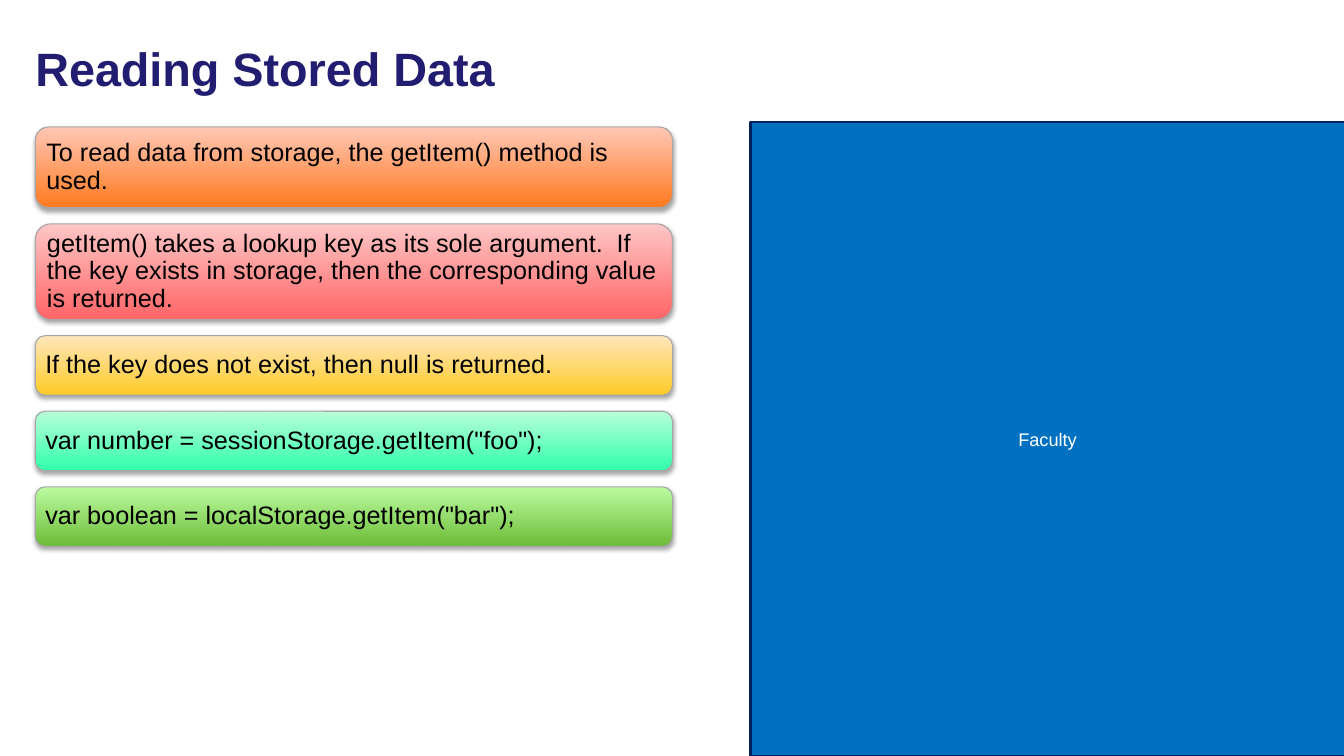
import dataclasses

import lxml.etree
import pptx
import pptx.dml.color
import pptx.enum.shapes
import pptx.enum.text
import pptx.oxml.ns
import pptx.util

Inches = pptx.util.Inches
Align = pptx.enum.text.PP_ALIGN


@dataclasses.dataclass(frozen=True)
class Theme:
    """Colours and type sizes of the slide."""
    font: str = "Arial"
    title: str = "211D70"
    body: str = "000000"
    panel_fill: str = "0070C0"
    panel_line: str = "002060"
    panel_text: str = "FFFFFF"
    card_line: str = "A6A6A6"
    shadow: str = "000000"
    title_size: float = 33.4
    body_size: float = 18
    panel_size: float = 13


THEME = Theme()
CARDS = [
    ("To read data from storage, the getItem() method is used.", 0.8, "FF7A1F", "FFC7B6"),
    ("getItem() takes a lookup key as its sole argument.  If the key exists in storage, "
     "then the corresponding value is returned.", 0.95, "FF6566", "FFC6C6"),
    ("If the key does not exist, then null is returned.", 0.59, "FFCB27", "FFE6BB"),
    ('var number = sessionStorage.getItem("foo");', 0.59, "31FFAB", "B8FFD9"),
    ('var boolean = localStorage.getItem("bar");', 0.59, "6DBC38", "BBFCA0"),
]


def rgb(value):
    """Return the colour for a hex string."""
    return pptx.dml.color.RGBColor.from_string(value)


def set_all(target, values):
    """Set each named attribute on the target."""
    for name, value in values.items():
        setattr(target, name, value)


def write_text(shape, text, size, color, bold=False, align=Align.LEFT, spacing=0.9, inset=(0.1, 0.05)):
    """Write one vertically centred paragraph into a shape."""
    frame = shape.text_frame
    across, down = map(Inches, inset)
    set_all(frame, {"word_wrap": True, "auto_size": pptx.enum.text.MSO_AUTO_SIZE.NONE,
                    "vertical_anchor": pptx.enum.text.MSO_ANCHOR.MIDDLE,
                    "margin_left": across, "margin_right": across,
                    "margin_top": down, "margin_bottom": down})
    paragraph = frame.paragraphs[0]
    set_all(paragraph, {"alignment": align, "line_spacing": spacing})
    run = paragraph.add_run()
    run.text = text
    set_all(run.font, {"name": THEME.font, "size": pptx.util.Pt(size), "bold": bold})
    run.font.color.rgb = rgb(color)


def add_box(slide, kind, box, line_color, line_width):
    """Add an outlined shape without a shadow."""
    shape = slide.shapes.add_shape(kind, *map(Inches, box))
    shape.shadow.inherit = False
    shape.line.color.rgb = rgb(line_color)
    shape.line.width = pptx.util.Pt(line_width)
    return shape


def add_drop_shadow(shape):
    """Give a shape a soft shadow straight below it."""
    qn = pptx.oxml.ns.qn
    effects = shape.element.spPr.find(qn("a:effectLst"))
    shadow = lxml.etree.SubElement(effects, qn("a:outerShdw"), blurRad="40000", dist="23000",
                                   dir="5400000", rotWithShape="0")
    color = lxml.etree.SubElement(shadow, qn("a:srgbClr"), val=THEME.shadow)
    lxml.etree.SubElement(color, qn("a:alpha"), val="35000")


def place_title(slide, box, text):
    """Move the title placeholder into the box and fill it."""
    title = slide.shapes.title
    set_all(title, dict(zip(("left", "top", "width", "height"), map(Inches, box))))
    write_text(title, text, THEME.title_size, THEME.title, bold=True)


def add_panel(slide, box, text):
    """Draw the solid panel with its centred label."""
    panel = add_box(slide, pptx.enum.shapes.MSO_SHAPE.RECTANGLE, box, THEME.panel_line, 2)
    panel.fill.solid()
    panel.fill.fore_color.rgb = rgb(THEME.panel_fill)
    write_text(panel, text, THEME.panel_size, THEME.panel_text, align=Align.CENTER, spacing=1.0)


def add_cards(slide, box, cards, gap=0.16):
    """Stack gradient cards downwards from the top of the box."""
    left, top, width = box
    for text, height, bottom_color, top_color in cards:
        card = add_box(slide, pptx.enum.shapes.MSO_SHAPE.ROUNDED_RECTANGLE,
                       (left, top, width, height), THEME.card_line, 0.75)
        card.fill.gradient()
        card.fill.gradient_angle = 90
        for stop, color in zip(card.fill.gradient_stops, (bottom_color, top_color)):
            stop.color.rgb = rgb(color)
        add_drop_shadow(card)
        write_text(card, text, THEME.body_size, THEME.body, inset=(0.07, 0.07))
        top += height + gap


def main():
    """Build and save the presentation."""
    presentation = pptx.Presentation()
    set_all(presentation, {"slide_width": Inches(13.33), "slide_height": Inches(7.5)})
    slide = presentation.slides.add_slide(presentation.slide_layouts[5])
    add_panel(slide, (7.44, 1.21, 5.9, 6.29), "Faculty")
    place_title(slide, (0.25, 0.25, 11.81, 0.91), "Reading Stored Data")
    add_cards(slide, (0.35, 1.26, 6.32), CARDS)
    presentation.save("out.pptx")


if __name__ == "__main__":
    main()
